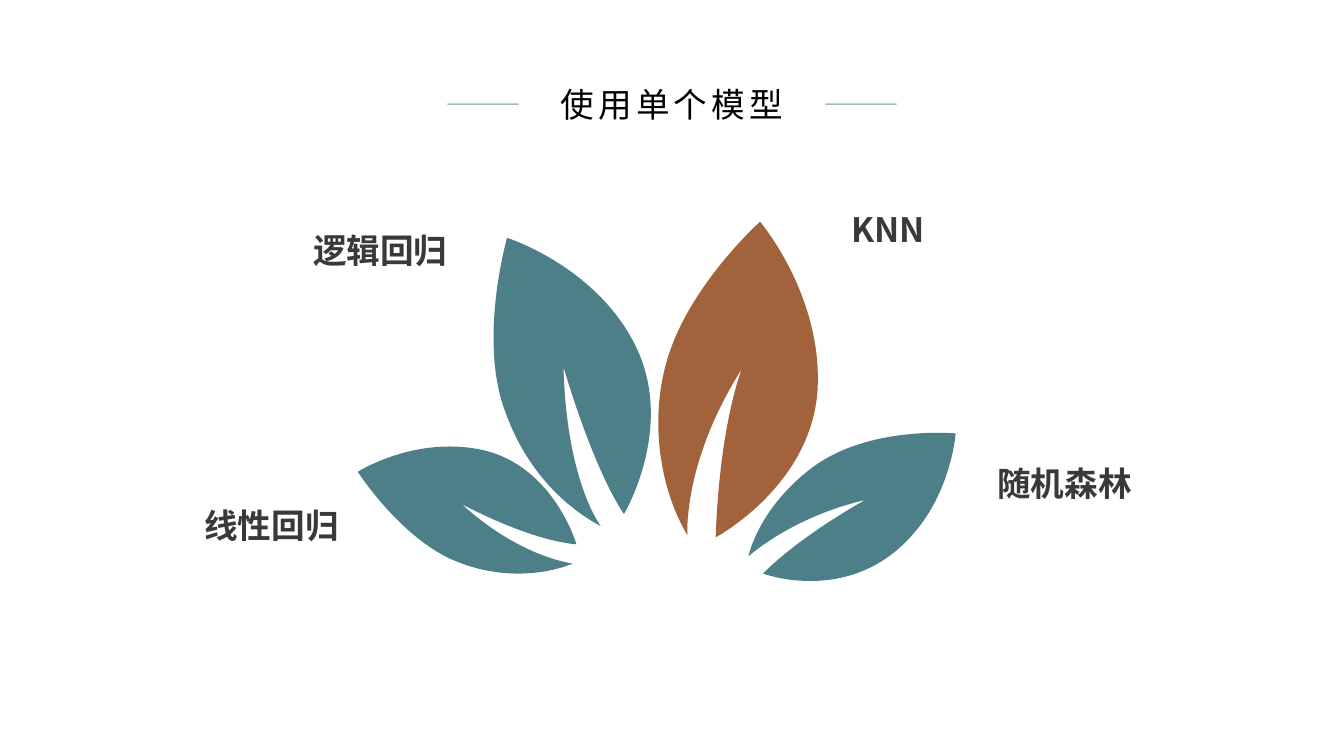
"""Slide with four leaves, each naming a single model."""
from lxml import etree
from pptx import Presentation
from pptx.dml.color import RGBColor
from pptx.enum.shapes import MSO_CONNECTOR
from pptx.enum.text import MSO_ANCHOR, PP_ALIGN
from pptx.oxml.ns import qn
from pptx.util import Pt

LINE = MSO_CONNECTOR.STRAIGHT
LEFT, MID, RIGHT = PP_ALIGN.LEFT, PP_ALIGN.CENTER, PP_ALIGN.RIGHT
TOP, CENTRE = MSO_ANCHOR.TOP, MSO_ANCHOR.MIDDLE
FONT = "Noto Sans CJK SC"
INK = {"teal": "4D7F89", "rust": "A2633C", "dark": "3B3838", "black": "000000"}


def write(shape, text, tint, bold, align, anchor):
    """Fill a text shape with one styled line."""
    frame = shape.text_frame
    frame.text = text
    frame.word_wrap = True
    frame.vertical_anchor = anchor
    frame.margin_left = frame.margin_right = 0
    frame.margin_top = frame.margin_bottom = 0
    para = frame.paragraphs[0]
    para.alignment = align
    font = para.runs[0].font
    font.size, font.bold, font.name = Pt(24), bold, FONT
    font.color.rgb = RGBColor.from_string(INK[tint])
    props = para.runs[0]._r.get_or_add_rPr()
    etree.SubElement(props, qn("a:ea")).set("typeface", FONT)
    return props


def curve(shape):
    """Turn each three line segments of a freeform into one cubic curve."""
    lines = list(shape._element.iter(qn("a:lnTo")))
    for at in range(0, len(lines), 3):
        cubic = etree.Element(qn("a:cubicBezTo"))
        lines[at].addprevious(cubic)
        for line in lines[at:at + 3]:
            cubic.append(line[0])
            line.getparent().remove(line)


deck = Presentation()
deck.slide_width, deck.slide_height = Pt(960), Pt(540)
slide = deck.slides.add_slide(deck.slide_layouts[5])
shapes = slide.shapes

title = shapes.title
title.left, title.top, title.width, title.height = Pt(373.7), Pt(56), Pt(212.4), Pt(36)
write(title, "使用单个模型", "black", False, MID, CENTRE).set("spc", "300")

leaves = [
    ("teal", [(545, 409.7), (545, 409.7), (606.2, 432.7), (650.9, 383),
              (679.7, 351.4), (682.6, 309.6), (682.6, 309.6),
              (682.6, 309.6), (621.4, 303.8), (581, 333.4),
              (541.4, 362.9), (534.6, 397.4), (534.6, 397.4),
              (534.6, 397.4), (565.2, 369.4), (618.1, 357.1),
              (618.1, 357.1), (573.1, 381.6), (545, 409.7)]),
    ("rust", [(511.2, 383.8), (511.2, 383.8), (578.9, 347.8), (583.9, 279.4),
              (588.2, 211.7), (542.9, 158.4), (542.9, 158.4),
              (542.9, 158.4), (493.9, 202.3), (477.4, 254.2),
              (463, 299.5), (471.6, 349.9), (491, 382.3),
              (491, 382.3), (487.4, 330.5), (529.9, 263.5),
              (529.9, 263.5), (514.1, 302.4), (511.2, 383.8)]),
    ("teal", [(445.7, 367.2), (445.7, 367.2), (482.4, 306), (454.3, 247.7),
              (426.2, 190.1), (362.2, 169.9), (362.2, 169.9),
              (362.2, 169.9), (342, 240.5), (360, 291.6),
              (377.3, 342), (410.4, 365.8), (429.1, 375.8),
              (429.1, 375.8), (404.6, 344.2), (402.5, 262.1),
              (402.5, 262.1), (422.6, 332.6), (445.7, 367.2)]),
    ("teal", [(411.8, 388.8), (411.8, 388.8), (396, 334.1), (346.3, 321.8),
              (297.4, 310.3), (255.6, 337), (255.6, 337),
              (255.6, 337), (283.7, 380.9), (321.1, 398.9),
              (360.7, 416.9), (396, 408.2), (409, 402.5),
              (409, 402.5), (371.5, 398.2), (329.8, 360),
              (329.8, 360), (377.3, 385.9), (411.8, 388.8)]),
]
for tint, knots in leaves:
    spots = [(Pt(x), Pt(y)) for x, y in knots]
    pen = shapes.build_freeform(*spots[0])
    pen.add_line_segments(spots[1:], close=True)
    leaf = pen.convert_to_shape()
    curve(leaf)
    leaf.shadow.inherit = False
    leaf.fill.solid()
    leaf.fill.fore_color.rgb = RGBColor.from_string(INK[tint])
    leaf.line.fill.background()

labels = [
    ("KNN", 608, 149, 199.4, 28.8, LEFT),
    ("随机森林", 712.4, 330.5, 207.4, 28.8, LEFT),
    ("逻辑回归", 99.4, 164.2, 220.3, 64, RIGHT),
    ("线性回归", 40.3, 360.7, 201.6, 28.8, RIGHT),
]
for text, x, y, wide, high, align in labels:
    box = shapes.add_textbox(Pt(x), Pt(y), Pt(wide), Pt(high))
    write(box, text, "dark", True, align, TOP)

for x in (319.5, 589.5):
    rule = shapes.add_connector(LINE, Pt(x), Pt(74.4), Pt(x + 51), Pt(74.4))
    rule.line.width = Pt(1)
    rule.line.color.rgb = RGBColor.from_string(INK["teal"])
    tone = rule._element.spPr.find(".//" + qn("a:srgbClr"))
    etree.SubElement(tone, qn("a:alpha")).set("val", "50000")
    etree.SubElement(rule._element.spPr, qn("a:effectLst"))

deck.save("out.pptx")
